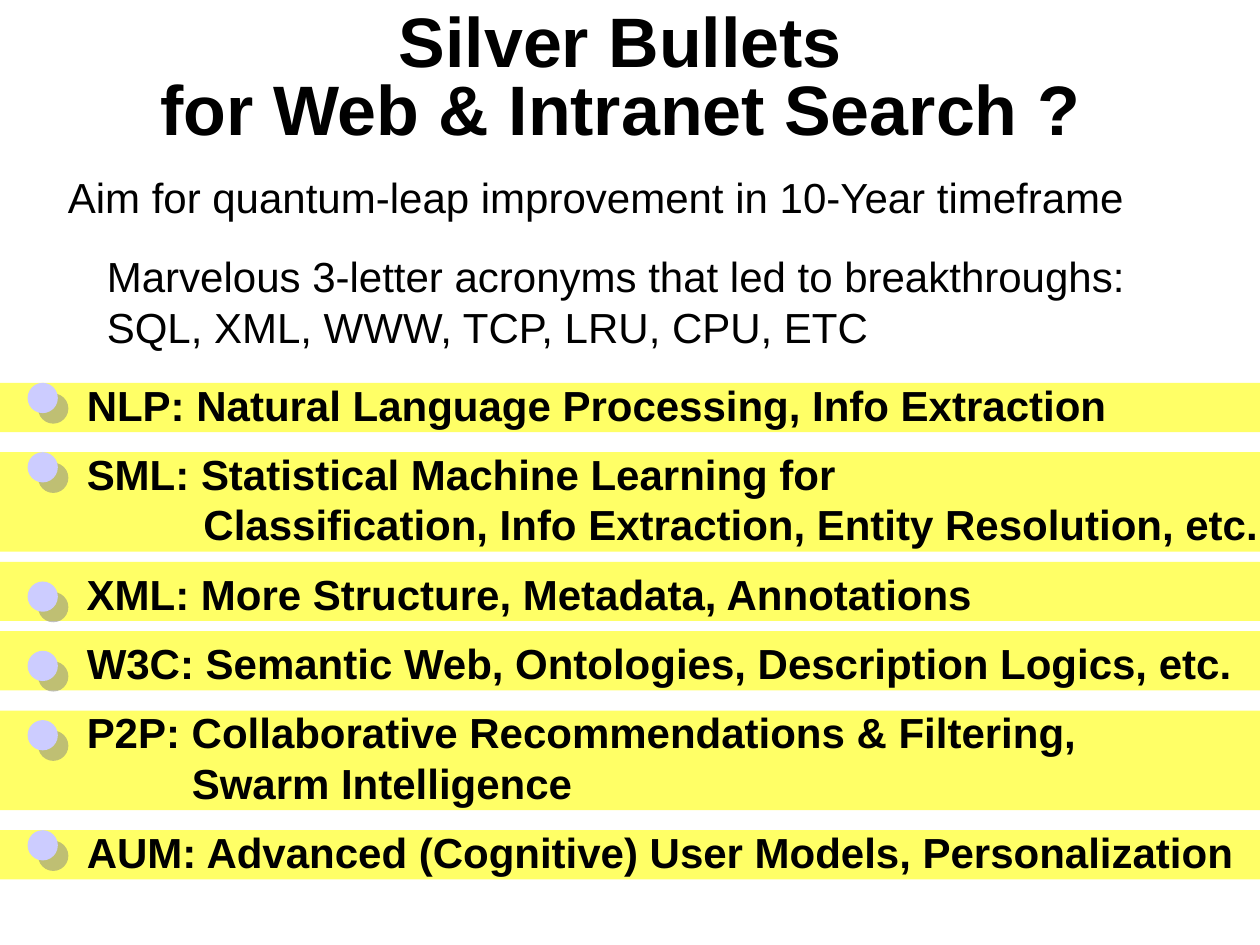
from lxml.etree import SubElement
from pptx import Presentation
from pptx.dml.color import RGBColor
from pptx.enum.shapes import MSO_SHAPE as Shape
from pptx.enum.text import MSO_ANCHOR as Anchor, MSO_AUTO_SIZE as AutoSize, PP_ALIGN as Align
from pptx.oxml.ns import qn
from pptx.util import Pt

BLACK = RGBColor(0, 0, 0)
YELLOW = RGBColor(0xFF, 0xFF, 0x66)
LAVENDER = RGBColor(0xCC, 0xCC, 0xFF)
SHADOW = RGBColor(0x80, 0x80, 0x80)
FONT = "Arial"
WIDTH, HEIGHT = 720, 540

TITLE = ["Silver Bullets ", "for Web & Intranet Search ? "]
AIM = ["Aim for quantum-leap improvement in 10-Year timeframe"]
ACRONYMS = ["Marvelous 3-letter acronyms that led to breakthroughs:",
            "SQL, XML, WWW, TCP, LRU, CPU, ETC"]
APPROACHES = [
    dict(lines=["NLP: Natural Language Processing, Info Extraction"],
         indent=0, width=599, band_drop=5.7, band_height=28.1, dot_drop=5.7),
    dict(lines=["SML: Statistical Machine Learning for",
                "Classification, Info Extraction, Entity Resolution, etc."],
         indent=66.7, width=685, band_drop=5.7, band_height=56.9, dot_drop=5.7),
    dict(lines=["XML: More Structure, Metadata, Annotations"],
         indent=0, width=523, band_drop=0, band_height=33.8, dot_drop=11.2),
    dict(lines=["W3C: Semantic Web, Ontologies, Description Logics, etc."],
         indent=0, width=671, band_drop=0, band_height=33.8, dot_drop=11.2),
    dict(lines=["P2P: Collaborative Recommendations & Filtering,", "Swarm Intelligence"],
         indent=60, width=588, band_drop=5.7, band_height=56.9, dot_drop=11.2),
    dict(lines=["AUM: Advanced (Cognitive) User Models, Personalization"],
         indent=0, width=672, band_drop=5.7, band_height=28.1, dot_drop=5.7),
]
FIRST_TOP, LINE, BOX_PADDING, GAP = 213.1, 28.8, 7.2, 3.6
TEXT_LEFT, DOT_LEFT, DOT_SIZE = 42.5, 15.8, 17.3


def place(shape, left, top, width, height):
    shape.left, shape.top, shape.width, shape.height = map(Pt, (left, top, width, height))


def style(run, size, bold):
    run.font.name, run.font.size, run.font.bold = FONT, Pt(size), bold
    run.font.color.rgb = BLACK


def add_plain(slide, kind, color, *bounds):
    shape = slide.shapes.add_shape(kind, *map(Pt, bounds))
    shape.fill.solid()
    shape.fill.fore_color.rgb = color
    shape.line.fill.background()
    shape.shadow.inherit = False
    return shape


def add_dot(slide, top):
    dot = add_plain(slide, Shape.OVAL, LAVENDER, DOT_LEFT, top, DOT_SIZE, DOT_SIZE)
    effects = dot.element.spPr.find(qn("a:effectLst"))
    outer = SubElement(effects, qn("a:outerShdw"), dist=str(Pt(8.5)),
                       dir=str(45 * 60000), algn="ctr", rotWithShape="0")
    color = SubElement(outer, qn("a:srgbClr"), val=str(SHADOW))
    SubElement(color, qn("a:alpha"), val="50000")


def add_lines(slide, lines, left, top, width, bold=False, indent=0):
    height = BOX_PADDING + LINE * len(lines)
    frame = slide.shapes.add_textbox(*map(Pt, (left, top, width, height))).text_frame
    frame.word_wrap = False
    frame.auto_size = AutoSize.SHAPE_TO_FIT_TEXT
    for number, line in enumerate(lines):
        paragraph = frame.add_paragraph() if number else frame.paragraphs[0]
        if number and indent:
            paragraph._p.get_or_add_pPr().set("marL", str(Pt(indent)))
        run = paragraph.add_run()
        run.text = line
        style(run, 24, bold)


def add_title(slide):
    title = slide.shapes.title
    place(title, 0, 21.6, WIDTH, 49.7)
    frame = title.text_frame
    frame.auto_size = AutoSize.NONE
    frame.vertical_anchor = Anchor.MIDDLE
    paragraph = frame.paragraphs[0]
    paragraph.alignment = Align.CENTER
    paragraph.line_spacing = 0.8
    for number, line in enumerate(TITLE):
        if number:
            paragraph.add_line_break()
        run = paragraph.add_run()
        run.text = line
        style(run, 40, True)


def main():
    deck = Presentation()
    deck.slide_width, deck.slide_height = Pt(WIDTH), Pt(HEIGHT)
    slide = deck.slides.add_slide(deck.slide_layouts[5])
    add_title(slide)
    add_lines(slide, AIM, 31.7, 94.3, 621)
    add_lines(slide, ACRONYMS, 54, 139.7, 598)
    top = FIRST_TOP
    for row in APPROACHES:
        lines = row["lines"]
        add_plain(slide, Shape.RECTANGLE, YELLOW,
                  0, top + row["band_drop"], WIDTH, row["band_height"])
        add_lines(slide, lines, TEXT_LEFT, top, row["width"], True, row["indent"])
        add_dot(slide, top + row["dot_drop"])
        top += BOX_PADDING + LINE * len(lines) + GAP
    deck.save("out.pptx")


if __name__ == "__main__":
    main()
